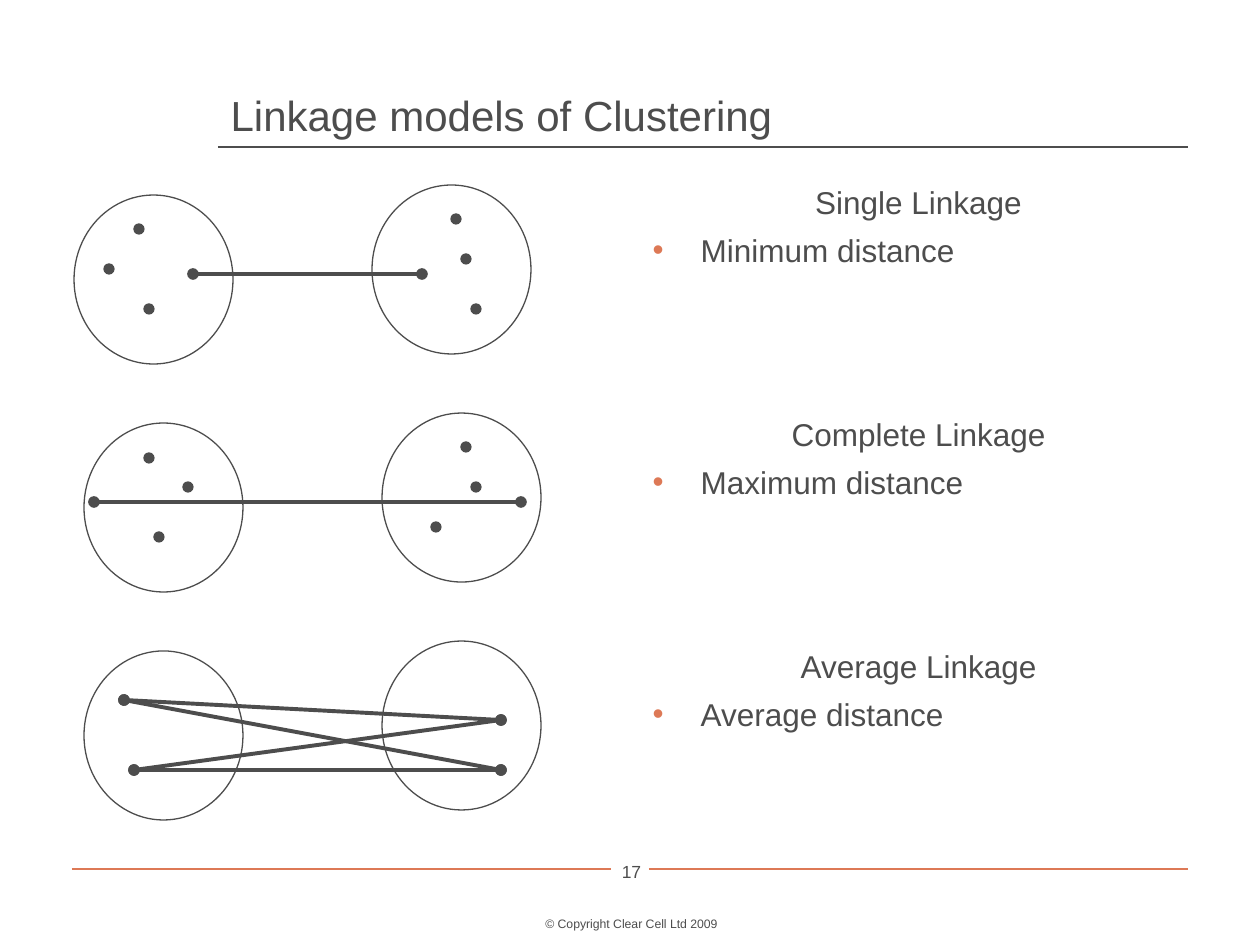
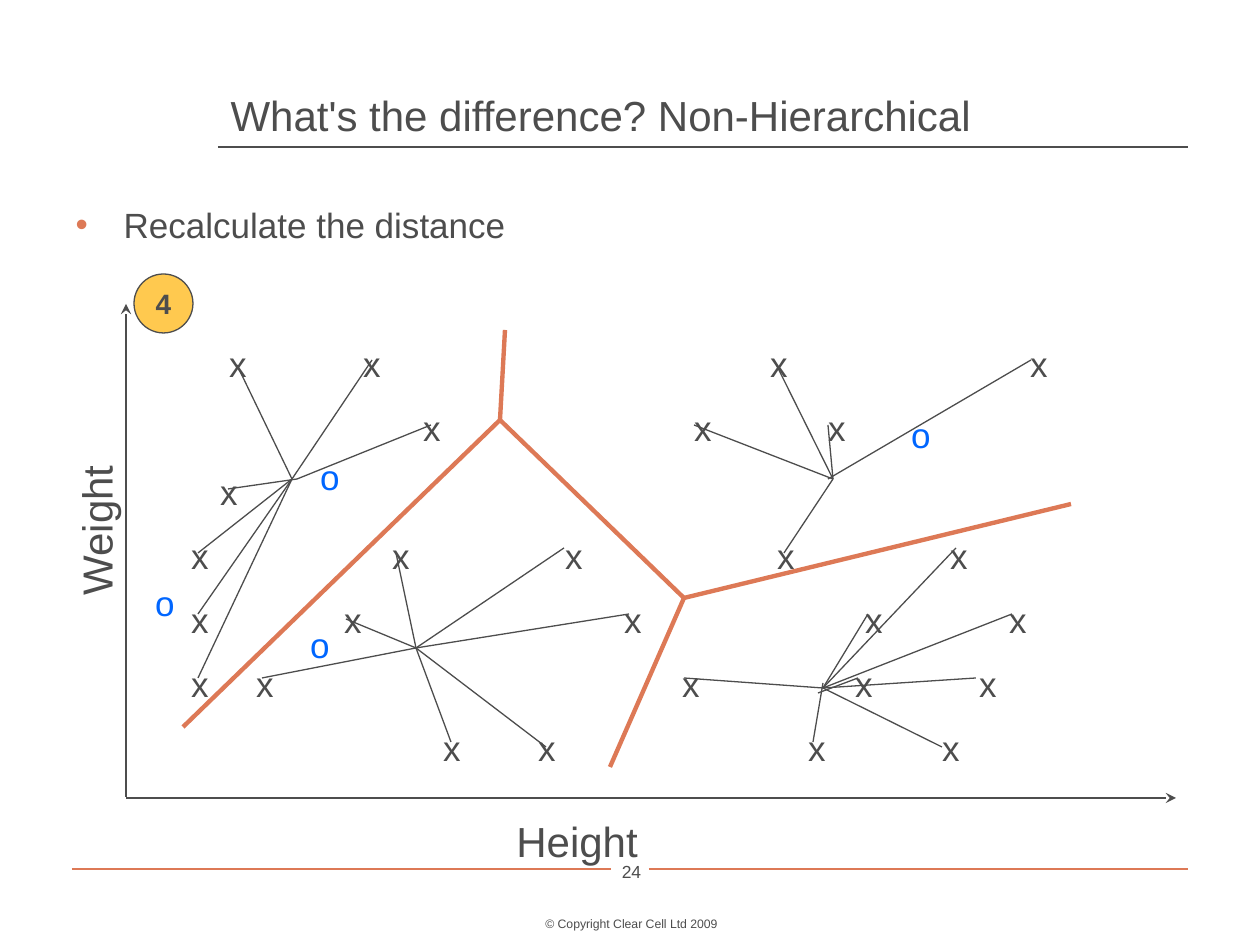
from dataclasses import dataclass

from lxml.etree import SubElement
from pptx import Presentation
from pptx.dml.color import RGBColor
from pptx.enum.shapes import MSO_CONNECTOR, MSO_SHAPE
from pptx.enum.text import MSO_ANCHOR, MSO_AUTO_SIZE, PP_ALIGN
from pptx.oxml.ns import qn
from pptx.util import Emu, Pt

PX_PER_INCH = 126


@dataclass(frozen=True)
class Theme:
    """Colours, font and type sizes shared by the slides."""
    font: str = "Arial"
    ink: str = "4D4D4D"
    accent: str = "DD7956"
    centroid: str = "0066FF"
    badge: str = "FFC94F"
    title_size: int = 24
    body_size: int = 20
    list_size: int = 18
    badge_size: int = 16
    number_size: int = 10
    copyright_size: int = 7
    thin: float = 0.75
    axis: float = 1
    link: float = 2.25
    boundary: float = 2.5


THEME = Theme()

LINKAGES = [("Single Linkage", "Minimum distance"),
            ("Complete Linkage", "Maximum distance"),
            ("Average Linkage", "Average distance")]

CLUSTER_PAIRS = [
    {"origin": (74, 185),
     "dots": [(139, 229), (109, 269), (149, 309), (456, 219), (466, 259), (476, 309)],
     "links": [((193, 274), (422, 274))]},
    {"origin": (84, 413),
     "dots": [(149, 458), (188, 487), (159, 537), (466, 447), (476, 487), (436, 527)],
     "links": [((94, 502), (521, 502))]},
    {"origin": (84, 641),
     "dots": [],
     "links": [(a, b) for a in ((124, 700), (134, 770)) for b in ((501, 720), (501, 770))]},
]

POINT_ROWS = [(238, 372, 779, 1039), (432, 703, 837), (229,),
              (200, 401, 574, 786, 959), (200, 353, 633, 874, 1018),
              (200, 265, 691, 864, 988), (452, 547, 817, 951)]
FIRST_ROW, ROW_STEP = 366, 64

OLD_CENTROIDS = [(330, 479), (921, 437), (165, 605), (320, 647)]

SPOKES = {
    (292, 479): [(237, 365), (372, 360), (198, 553), (198, 614), (198, 678)],
    (297, 479): [(228, 489), (431, 425)],
    (416, 648): [(396, 553), (262, 678), (346, 619), (451, 742), (564, 548),
                 (546, 747), (629, 614)],
    (833, 479): [(694, 425), (774, 360), (828, 425), (784, 553)],
    (828, 479): [(1031, 360)],
    (823, 688): [(684, 678), (868, 614), (956, 548), (1012, 614), (976, 678),
                 (942, 747)],
    (823, 683): [(813, 742)],
    (818, 693): [(858, 678)],
}

UPPER_FORK, LOWER_FORK = (500, 420), (684, 598)
BOUNDARIES = [((183, 727), UPPER_FORK), (LOWER_FORK, UPPER_FORK),
              ((505, 330), UPPER_FORK), (LOWER_FORK, (610, 767)),
              (LOWER_FORK, (1071, 504))]


def px(*lengths):
    """Convert px lengths to a list of EMU."""
    return [Emu(round(n * 914400 / PX_PER_INCH)) for n in lengths]


def rgb(colour):
    """Return a colour object for a hex string."""
    return RGBColor.from_string(colour)


def write(p, text, size=THEME.body_size, colour=THEME.ink, bold=False,
          align=PP_ALIGN.LEFT, before=0):
    """Write one formatted run into a paragraph."""
    p.alignment = align
    p.space_before = Pt(before)
    r = p.add_run()
    r.text = text
    r.font.name = THEME.font
    r.font.size = Pt(size)
    r.font.bold = bold
    r.font.color.rgb = rgb(colour)


def set_indent(p, bullet):
    """Give a paragraph a coloured hanging bullet, or none."""
    pPr = p._p.get_or_add_pPr()
    hang = px(48)[0] if bullet else 0
    pPr.set("marL", str(hang))
    pPr.set("indent", str(-hang))
    if bullet:
        clr = SubElement(pPr, qn("a:buClr"))
        SubElement(clr, qn("a:srgbClr"), val=THEME.accent)
        SubElement(pPr, qn("a:buChar"), char="•")
    else:
        SubElement(pPr, qn("a:buNone"))


def place(sp, box, anchor):
    """Move a placeholder and return its fixed-size text frame."""
    sp.left, sp.top, sp.width, sp.height = px(*box)
    tf = sp.text_frame
    tf.auto_size = MSO_AUTO_SIZE.NONE
    tf.word_wrap = True
    tf.vertical_anchor = anchor
    return tf


def add_text(s, box, text, wrap=True, inset=True, rotation=0, **style):
    """Add a text box holding one paragraph."""
    sp = s.shapes.add_textbox(*px(*box))
    sp.rotation = rotation
    tf = sp.text_frame
    tf.word_wrap = wrap
    if not inset:
        tf.margin_left = tf.margin_right = tf.margin_top = tf.margin_bottom = 0
    write(tf.paragraphs[0], text, **style)


def add_line(s, start, end, colour=THEME.ink, width=THEME.thin, head=None, tail=None):
    """Add a straight line with optional end markers."""
    c = s.shapes.add_connector(MSO_CONNECTOR.STRAIGHT, *px(*start, *end))
    c.line.color.rgb = rgb(colour)
    c.line.width = Pt(width)
    ln = c.line._get_or_add_ln()
    for tag, kind in (("a:headEnd", head), ("a:tailEnd", tail)):
        if kind:
            SubElement(ln, qn(tag), type=kind)
    SubElement(c._element.spPr, qn("a:effectLst"))


def add_ellipse(s, box, fill=None):
    """Add an outlined ellipse, filled if a colour is given."""
    sp = s.shapes.add_shape(MSO_SHAPE.OVAL, *px(*box))
    sp.shadow.inherit = False
    if fill:
        sp.fill.solid()
        sp.fill.fore_color.rgb = rgb(fill)
    else:
        sp.fill.background()
    sp.line.color.rgb = rgb(THEME.ink)
    sp.line.width = Pt(THEME.thin)
    return sp


def add_marker(s, centre, letter, colour):
    """Add a plot letter centred on a point."""
    x, y = centre
    add_text(s, (x - 20, y - 23, 40, 40), letter, inset=False, colour=colour,
             align=PP_ALIGN.CENTER)


def add_slide(prs, title, number):
    """Add a slide with the shared title, rules and footer."""
    s = prs.slides.add_slide(prs.slide_layouts[1])
    tf = place(s.shapes.title, (218, 76, 980, 70), MSO_ANCHOR.BOTTOM)
    write(tf.paragraphs[0], title, size=THEME.title_size)
    add_line(s, (218, 147), (1188, 147))
    for left, right in ((72, 611), (649, 1188)):
        add_line(s, (left, 869), (right, 869), colour=THEME.accent)
    add_text(s, (605, 855, 53, 42), str(number), size=THEME.number_size,
             align=PP_ALIGN.CENTER)
    add_text(s, (462, 910, 339, 28), "© Copyright Clear Cell Ltd 2009",
             size=THEME.copyright_size, align=PP_ALIGN.CENTER)
    return s


def add_linkage_list(s):
    """Fill the body with each linkage heading and its distance."""
    tf = place(s.placeholders[1], (640, 177, 557, 667), MSO_ANCHOR.TOP)
    for i, (heading, distance) in enumerate(LINKAGES):
        p = tf.add_paragraph() if i else tf.paragraphs[0]
        set_indent(p, bullet=False)
        write(p, heading, size=THEME.list_size, align=PP_ALIGN.CENTER,
              before=84 if i else 0)
        p = tf.add_paragraph()
        set_indent(p, bullet=True)
        write(p, distance, size=THEME.list_size, before=5.4)


def add_cluster_pair(s, origin, dots, links):
    """Draw two clusters, their points and the measured distances."""
    x, y = origin
    add_ellipse(s, (x, y + 10, 159, 169))
    add_ellipse(s, (x + 298, y, 159, 169))
    for cx, cy in dots:
        add_ellipse(s, (cx - 5, cy - 5, 10, 10), fill=THEME.ink)
    for start, end in links:
        add_line(s, start, end, width=THEME.link, head="oval", tail="oval")


def add_axes(s):
    """Draw the two labelled axes."""
    add_line(s, (126, 797), (126, 304), width=THEME.axis, tail="stealth")
    add_line(s, (126, 798), (1176, 798), width=THEME.axis, tail="stealth")
    add_text(s, (18, 499, 156, 63), "Weight", wrap=False, rotation=270,
             size=THEME.title_size, align=PP_ALIGN.CENTER)
    add_text(s, (504, 809, 179, 63), "Height", size=THEME.title_size)


def add_scatter(s):
    """Draw points, old centroids, spokes and cluster boundaries."""
    for i, row in enumerate(POINT_ROWS):
        for x in row:
            add_marker(s, (x, FIRST_ROW + i * ROW_STEP), "x", THEME.ink)
    for centre in OLD_CENTROIDS:
        add_marker(s, centre, "o", THEME.centroid)
    for hub, points in SPOKES.items():
        for point in points:
            add_line(s, hub, point)
    for start, end in BOUNDARIES:
        add_line(s, start, end, colour=THEME.accent, width=THEME.boundary)


def add_badge(s, text):
    """Add the round step number."""
    tf = add_ellipse(s, (134, 274, 59, 59), fill=THEME.badge).text_frame
    tf.word_wrap = False
    tf.vertical_anchor = MSO_ANCHOR.MIDDLE
    write(tf.paragraphs[0], text, size=THEME.badge_size, bold=True,
          align=PP_ALIGN.CENTER)


def main():
    """Build both slides and save the deck."""
    prs = Presentation()
    prs.slide_width, prs.slide_height = px(1260, 945)

    s = add_slide(prs, "Linkage models of Clustering", 17)
    add_linkage_list(s)
    for pair in CLUSTER_PAIRS:
        add_cluster_pair(s, **pair)

    s = add_slide(prs, "What's the difference? Non-Hierarchical", 24)
    p = place(s.placeholders[1], (63, 197, 1134, 622), MSO_ANCHOR.TOP).paragraphs[0]
    set_indent(p, bullet=True)
    write(p, "Recalculate the distance")
    add_axes(s)
    add_scatter(s)
    add_badge(s, "4")

    prs.save("out.pptx")


if __name__ == "__main__":
    main()
